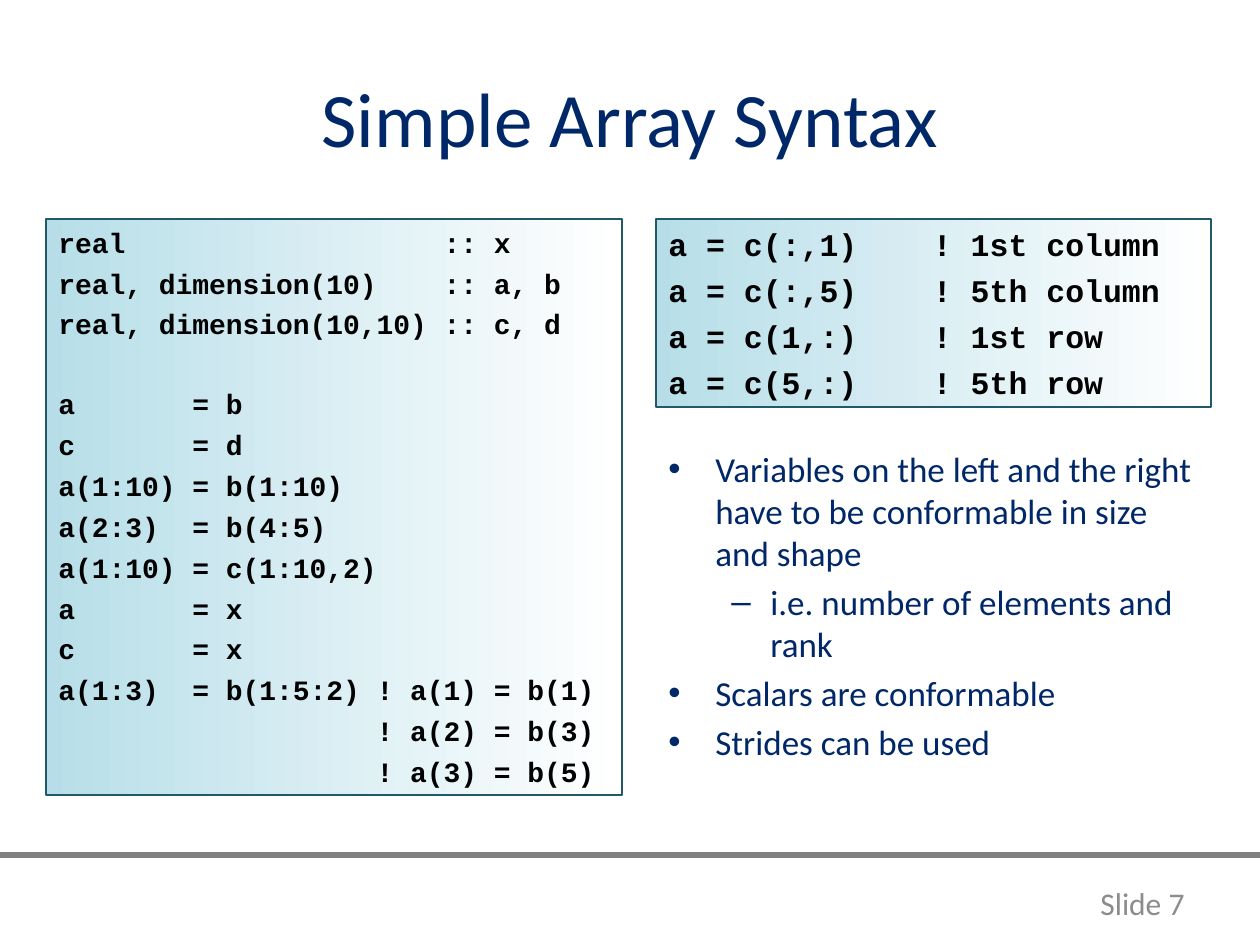
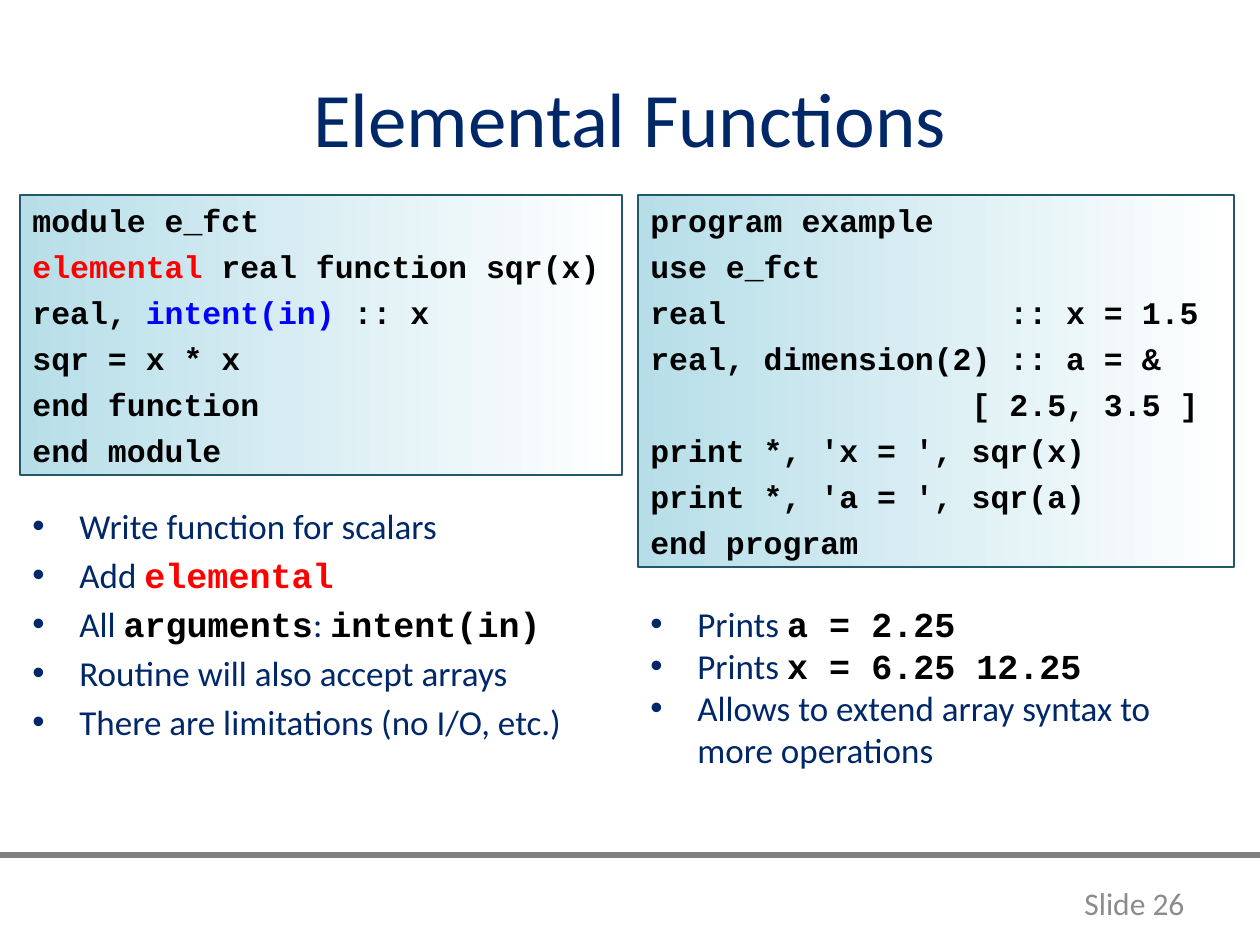
from lxml import etree
from pptx import Presentation
from pptx import util as u
from pptx.dml.color import RGBColor
from pptx.enum import shapes, text
from pptx.oxml import ns

PX = 914400 // 126  # one pixel in EMU
NAVY = RGBColor(0x00, 0x28, 0x68)
BLACK = RGBColor(0x00, 0x00, 0x00)
RED = RGBColor(0xFF, 0x00, 0x00)
BLUE = RGBColor(0x00, 0x00, 0xFF)
GREY = RGBColor(0x80, 0x80, 0x80)
FOOTER = RGBColor(0x8C, 0x8C, 0x8C)
PALE_BLUE = RGBColor(0xB7, 0xDE, 0xE8)
WHITE = RGBColor(0xFF, 0xFF, 0xFF)
TEAL = RGBColor(0x21, 0x59, 0x68)
PROSE, CODE = "Calibri", "Courier New"
BULLETS = [("\u2022", 47, 47), ("\u2013", 102, 39)]  # mark, margin, hanging indent


def set_font(font, name, colour, size=None):
    font.name, font.bold = name, name == CODE
    font.color.rgb = colour
    if size:
        font.size = u.Pt(size)


def add_lines(tf, lines, name, colour, size, space):
    """One paragraph per line; a (text, colour) part is set as coloured code."""
    tf.word_wrap = True
    tf.vertical_anchor = text.MSO_ANCHOR.TOP
    for i, line in enumerate(lines):
        p = tf.paragraphs[0] if i == 0 else tf.add_paragraph()
        p.alignment = text.PP_ALIGN.LEFT
        p.space_before = u.Pt(space)
        set_font(p.font, name, colour, size)
        for part in [line] if isinstance(line, str) else line:
            r = p.add_run()
            if isinstance(part, str):
                r.text = part
            else:
                r.text = part[0]
                set_font(r.font, CODE, part[1])


# Content: code boxes are (box, size, lines), lists are (box, space, items)
slides = [
    {
        "title": "Simple Array Syntax",
        "number": 7,
        "code": [
            ((46, 219, 576, 576), 16, [
                "real                   :: x",
                "real, dimension(10)    :: a, b",
                "real, dimension(10,10) :: c, d",
                "a       = b",
                "c       = d",
                "a(1:10) = b(1:10)",
                "a(2:3)  = b(4:5)",
                "a(1:10) = c(1:10,2)",
                "a       = x",
                "c       = x",
                "a(1:3)  = b(1:5:2) ! a(1) = b(1)",
                "                   ! a(2) = b(3)",
                "                   ! a(3) = b(5)",
            ]),
            ((656, 219, 555, 188), 18, [
                "a = c(:,1)    ! 1st column",
                "a = c(:,5)    ! 5th column",
                "a = c(1,:)    ! 1st row",
                "a = c(5,:)    ! 5th row",
            ]),
        ],
        "lists": [
            ((656, 441, 555, 354), 4, [
                "Variables on the left and the right have to be conformable in size and shape",
                "i.e. number of elements and rank",
                "Scalars are conformable",
                "Strides can be used",
            ]),
        ],
        "sub_items": [1],
        "section_starts": [3],
    },
    {
        "title": "Elemental Functions",
        "number": 26,
        "code": [
            ((20, 195, 602, 280), 18, [
                "module e_fct",
                [("elemental ", RED), "real function sqr(x)"],
                ["real, ", ("intent(in) ", BLUE), ":: x"],
                "sqr = x * x",
                "end function",
                "end module",
            ]),
            ((638, 195, 596, 372), 18, [
                "program example",
                "use e_fct",
                "real               :: x = 1.5",
                "real, dimension(2) :: a = &",
                "                 [ 2.5, 3.5 ]",
                "print *, 'x = ', sqr(x)",
                "print *, 'a = ', sqr(a)",
                "end program",
            ]),
        ],
        "lists": [
            ((20, 498, 602, 343), 4, [
                "Write function for scalars",
                ["Add ", ("elemental", RED)],
                ["All ", ("arguments", BLACK), ": ", ("intent(in)", BLACK)],
                "Routine will also accept arrays",
                "There are limitations (no I/O, etc.)",
            ]),
            ((638, 596, 596, 183), 0, [
                ["Prints ", ("a = 2.25", BLACK)],
                ["Prints ", ("x = 6.25 12.25", BLACK)],
                "Allows to extend array syntax to more operations",
            ]),
        ],
        "sub_items": [],
        "section_starts": [],
    },
]

prs = Presentation()
prs.slide_width, prs.slide_height = 1260 * PX, 945 * PX

for content in slides:
    s = prs.slides.add_slide(prs.slide_layouts[5])

    # Footer rule and slide number
    rule = s.shapes.add_connector(shapes.MSO_CONNECTOR.STRAIGHT, 0, 855 * PX, 1260 * PX, 855 * PX)
    rule.line.color.rgb = GREY
    rule.line.width = u.Pt(3)
    etree.SubElement(rule._element.spPr, ns.qn("a:effectLst"))
    tf = s.shapes.add_textbox(1060 * PX, 878 * PX, 137 * PX, 50 * PX).text_frame
    tf.word_wrap = True
    tf.vertical_anchor = text.MSO_ANCHOR.MIDDLE
    p = tf.paragraphs[0]
    p.text = f"Slide {content['number']}"
    p.alignment = text.PP_ALIGN.RIGHT
    set_font(p.font, PROSE, FOOTER, 18)

    # Title
    title = s.shapes.title
    title.left, title.top, title.width, title.height = [v * PX for v in (63, 38, 1134, 158)]
    title.text_frame.vertical_anchor = text.MSO_ANCHOR.MIDDLE
    p = title.text_frame.paragraphs[0]
    p.text = content["title"]
    p.alignment = text.PP_ALIGN.CENTER
    set_font(p.font, PROSE, NAVY, 44)

    # Bullet lists
    for box, space, items in content["lists"]:
        tf = s.shapes.add_textbox(*[v * PX for v in box]).text_frame
        add_lines(tf, items, PROSE, NAVY, 20, space)
        for i, p in enumerate(tf.paragraphs):
            p.level = int(i in content["sub_items"])
            mark, margin, hang = BULLETS[p.level]
            pPr = p._p.get_or_add_pPr()
            pPr.set("marL", str(margin * PX))
            pPr.set("indent", str(-hang * PX))
            bullet_font = etree.Element(ns.qn("a:buFont"), typeface="Arial")
            bullet = etree.Element(ns.qn("a:buChar"), char=mark)
            pPr.find(ns.qn("a:defRPr")).addprevious(bullet_font)
            bullet_font.addnext(bullet)

    # Code boxes
    for i, (box, size, lines) in enumerate(content["code"]):
        sp = s.shapes.add_shape(shapes.MSO_SHAPE.RECTANGLE, *[v * PX for v in box])
        sp.shadow.inherit = False
        sp.fill.gradient()
        sp.fill.gradient_angle = 0
        for stop, colour in zip(sp.fill.gradient_stops, (PALE_BLUE, WHITE)):
            stop.color.rgb = colour
        sp.line.color.rgb = TEAL
        sp.line.width = u.Pt(0.75)
        add_lines(sp.text_frame, lines, CODE, BLACK, size, 0.26 * size)
        if i == 0:
            for start in content["section_starts"]:
                sp.text_frame.paragraphs[start].space_before = u.Pt(1.65 * size)

prs.save("out.pptx")
